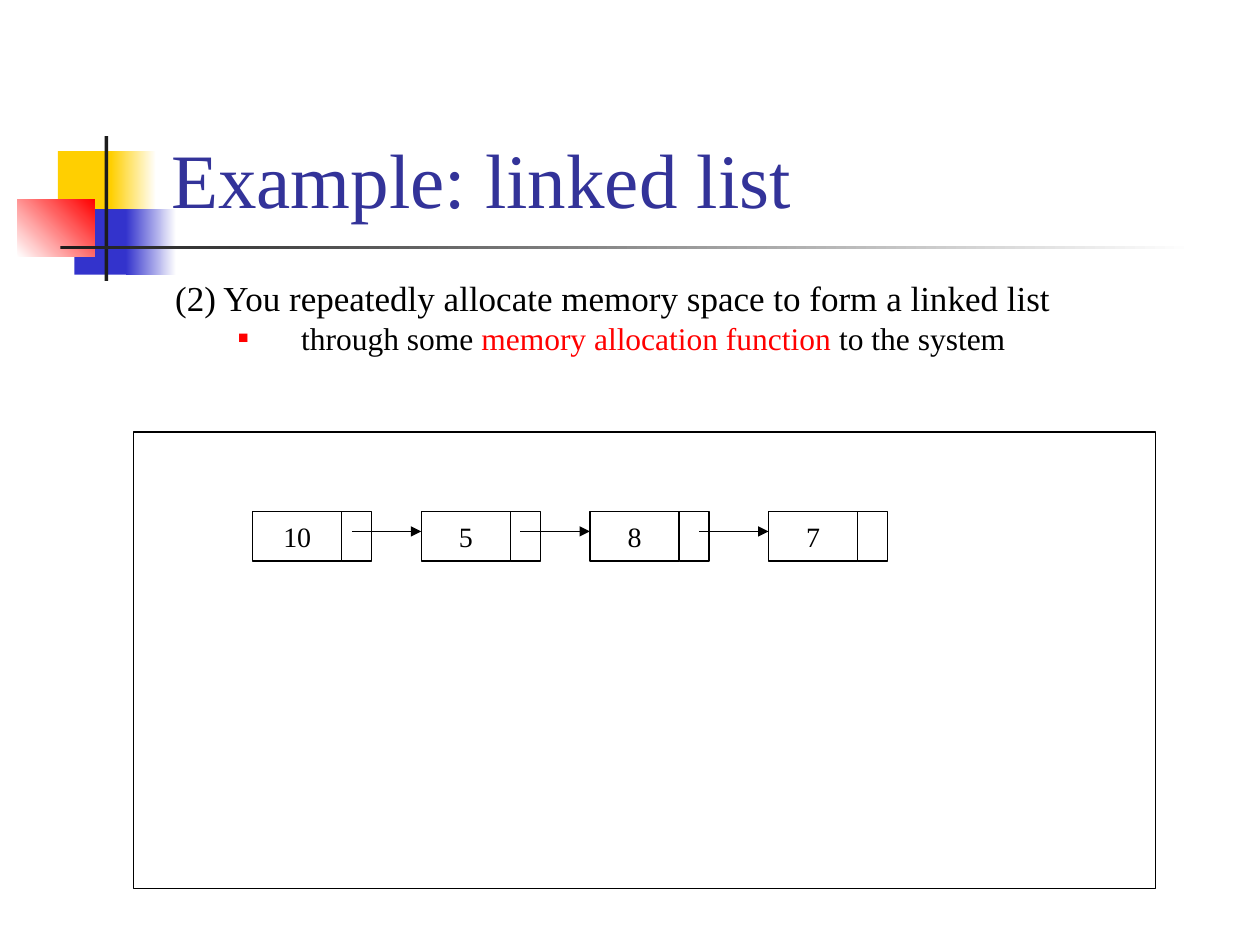
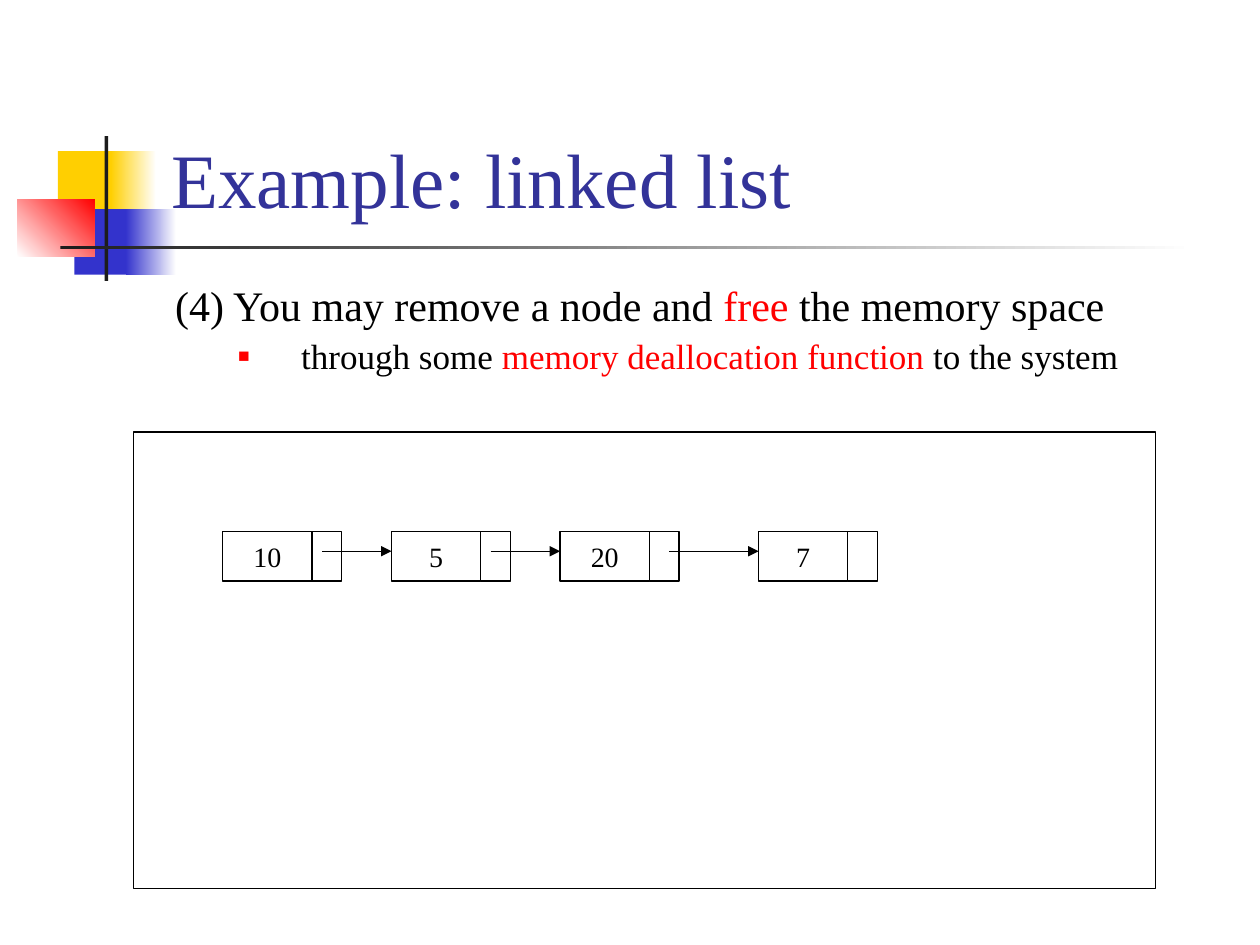
from lxml.etree import SubElement
from pptx import Presentation
from pptx.dml.color import RGBColor
from pptx.enum.shapes import MSO_CONNECTOR, MSO_SHAPE
from pptx.enum.text import MSO_ANCHOR, MSO_AUTO_SIZE, PP_ALIGN
from pptx.oxml.ns import qn
from pptx.util import Cm, Inches, Pt

FONT = "Times New Roman"
BLACK = RGBColor(0x00, 0x00, 0x00)
WHITE = RGBColor(0xFF, 0xFF, 0xFF)
RED = RGBColor(0xFF, 0x00, 0x00)
YELLOW = RGBColor(0xFF, 0xCF, 0x01)
BLUE = RGBColor(0x33, 0x33, 0xCC)
TITLE_BLUE = RGBColor(0x33, 0x33, 0x99)
CHARCOAL = RGBColor(0x1C, 0x1C, 0x1C)

# The diagram is laid out in grid units, counted from the panel's corner.
UNIT = Cm(0.2)
PANEL_LEFT, PANEL_TOP = Inches(1.06), Inches(3.43)
PANEL_COLUMNS, PANEL_ROWS = 103, 46
VALUE_COLUMNS, POINTER_COLUMNS, NODE_ROWS = 9, 3, 5
ARROW_ROW = 2

# left, top, width, height in inches; start colour, end colour, angle
DECORATION = [
    (0.46, 1.2, 0.48, 0.52, YELLOW, YELLOW, 0),
    (0.88, 1.2, 0.36, 0.52, YELLOW, WHITE, 0),
    (0.59, 1.66, 0.46, 0.52, BLUE, BLUE, 0),
    (1.0, 1.66, 0.4, 0.52, BLUE, WHITE, 0),
    (0.14, 1.58, 0.61, 0.46, WHITE, RED, 45),
    (0.83, 1.08, 0.03, 1.15, CHARCOAL, CHARCOAL, 0),
    (0.48, 1.95, 9, 0.03, CHARCOAL, WHITE, 0),
]

SLIDES = [
    {
        "heading": [("(2) You repeatedly allocate memory space to form a linked list", BLACK)],
        "detail": [("through some ", BLACK), ("memory allocation function", RED),
                   (" to the system", BLACK)],
        "sizes": (20, 18), "line_spacing": 0.8, "detail_gap": 4.5,
        "values": ["10", "5", "8", "7"], "columns": [12, 29, 46, 64], "row": 8,
    },
    {
        "heading": [("(4) You may remove a node and ", BLACK), ("free", RED),
                    (" the memory space", BLACK)],
        "detail": [("through some ", BLACK), ("memory deallocation function", RED),
                   (" to the system", BLACK)],
        "sizes": (24, 20), "line_spacing": 0.9, "detail_gap": 5,
        "values": ["10", "5", "20", "7"], "columns": [9, 26, 43, 63], "row": 10,
    },
]
ARROW_OFFSETS = [10, 10, 11]


def write(para, spans, size, align=PP_ALIGN.LEFT, line_spacing=1.0, before=0):
    """Fill a paragraph with (text, colour) spans."""
    para.alignment = align
    para.line_spacing = line_spacing
    para.space_before = Pt(before)
    for text, color in spans:
        span = para.add_run()
        span.text = text
        span.font.name = FONT
        span.font.size = Pt(size)
        span.font.color.rgb = color


def set_bullet(para, margin, hanging, symbol=None):
    """Set the hanging indent, with a small red symbol or no bullet."""
    properties = para._p.get_or_add_pPr()
    properties.set("marL", str(Inches(margin)))
    properties.set("indent", str(-Inches(hanging)))
    if symbol is None:
        SubElement(properties, qn("a:buNone"))
        return
    color = SubElement(properties, qn("a:buClr"))
    SubElement(color, qn("a:srgbClr"), val=str(RED))
    SubElement(properties, qn("a:buSzPct"), val="55000")
    SubElement(properties, qn("a:buFont"), typeface=FONT)
    SubElement(properties, qn("a:buChar"), char=symbol)


def place(shape, left, top, width, height):
    shape.left, shape.top = Inches(left), Inches(top)
    shape.width, shape.height = Inches(width), Inches(height)


def prepare_layout(layout):
    place(layout.placeholders[0], 1.26, 0.23, 8.52, 1.6)
    place(layout.placeholders[1], 1.29, 2.21, 8.5, 0.99)


def decorate_layout(layout, slide):
    """Draw the coloured blocks and rules, then move them to the layout."""
    for left, top, width, height, start, end, angle in DECORATION:
        block = slide.shapes.add_shape(
            MSO_SHAPE.RECTANGLE, *map(Inches, (left, top, width, height)))
        block.shadow.inherit = False
        block.line.fill.background()
        if start == end:
            block.fill.solid()
            block.fill.fore_color.rgb = start
        else:
            block.fill.gradient()
            block.fill.gradient_angle = angle
            for stop, color, position in zip(block.fill.gradient_stops, (start, end), (0, 1)):
                stop.color.rgb = color
                stop.position = position
        layout.shapes.element.append(block.element)


def add_box(shapes, column, row, columns, rows):
    """Add an outlined rectangle placed on the panel grid."""
    box = shapes.add_shape(
        MSO_SHAPE.RECTANGLE, PANEL_LEFT + column * UNIT, PANEL_TOP + row * UNIT,
        columns * UNIT, rows * UNIT)
    box.shadow.inherit = False
    box.fill.background()
    box.line.color.rgb = BLACK
    box.line.width = Pt(0.75)
    return box


def add_node(slide, value, column, row):
    node = slide.shapes.add_group_shape()
    box = add_box(node.shapes, column, row, VALUE_COLUMNS, NODE_ROWS)
    add_box(node.shapes, column + VALUE_COLUMNS, row, POINTER_COLUMNS, NODE_ROWS)
    frame = box.text_frame
    frame.word_wrap = False
    frame.vertical_anchor = MSO_ANCHOR.MIDDLE
    write(frame.paragraphs[0], [(value, BLACK)], size=16, align=PP_ALIGN.CENTER)


def add_arrow(slide, start, end, row):
    height = PANEL_TOP + row * UNIT
    arrow = slide.shapes.add_connector(
        MSO_CONNECTOR.STRAIGHT, PANEL_LEFT + start * UNIT, height,
        PANEL_LEFT + end * UNIT, height)
    arrow.line.color.rgb = BLACK
    arrow.line.width = Pt(0.75)
    SubElement(arrow.line._get_or_add_ln(), qn("a:tailEnd"), type="triangle")
    SubElement(arrow.element.spPr, qn("a:effectLst"))


def add_linked_list(slide, values, columns, row):
    add_box(slide.shapes, 0, 0, PANEL_COLUMNS, PANEL_ROWS)
    for value, column in zip(values, columns):
        add_node(slide, value, column, row)
    for column, offset, target in zip(columns, ARROW_OFFSETS, columns[1:]):
        add_arrow(slide, column + offset, target, row + ARROW_ROW)


def fill_text(slide, content):
    title = slide.shapes.title.text_frame
    title.auto_size = MSO_AUTO_SIZE.NONE
    title.vertical_anchor = MSO_ANCHOR.BOTTOM
    write(title.paragraphs[0], [("Example: linked list", TITLE_BLUE)], size=44)

    body = slide.placeholders[1].text_frame
    body.auto_size = MSO_AUTO_SIZE.NONE
    heading_size, detail_size = content["sizes"]
    spacing = content["line_spacing"]
    heading = body.paragraphs[0]
    set_bullet(heading, 0.58, 0.58)
    write(heading, content["heading"], heading_size, line_spacing=spacing)
    detail = body.add_paragraph()
    detail.level = 1
    set_bullet(detail, 1, 0.5, symbol="■")
    write(detail, content["detail"], detail_size, line_spacing=spacing,
          before=content["detail_gap"])


def main():
    deck = Presentation()
    deck.slide_width, deck.slide_height = Inches(10), Inches(7.5)
    layout = deck.slide_layouts[1]
    prepare_layout(layout)
    for content in SLIDES:
        slide = deck.slides.add_slide(layout)
        fill_text(slide, content)
        add_linked_list(slide, content["values"], content["columns"], content["row"])
    decorate_layout(layout, deck.slides[0])
    deck.save("out.pptx")


if __name__ == "__main__":
    main()
